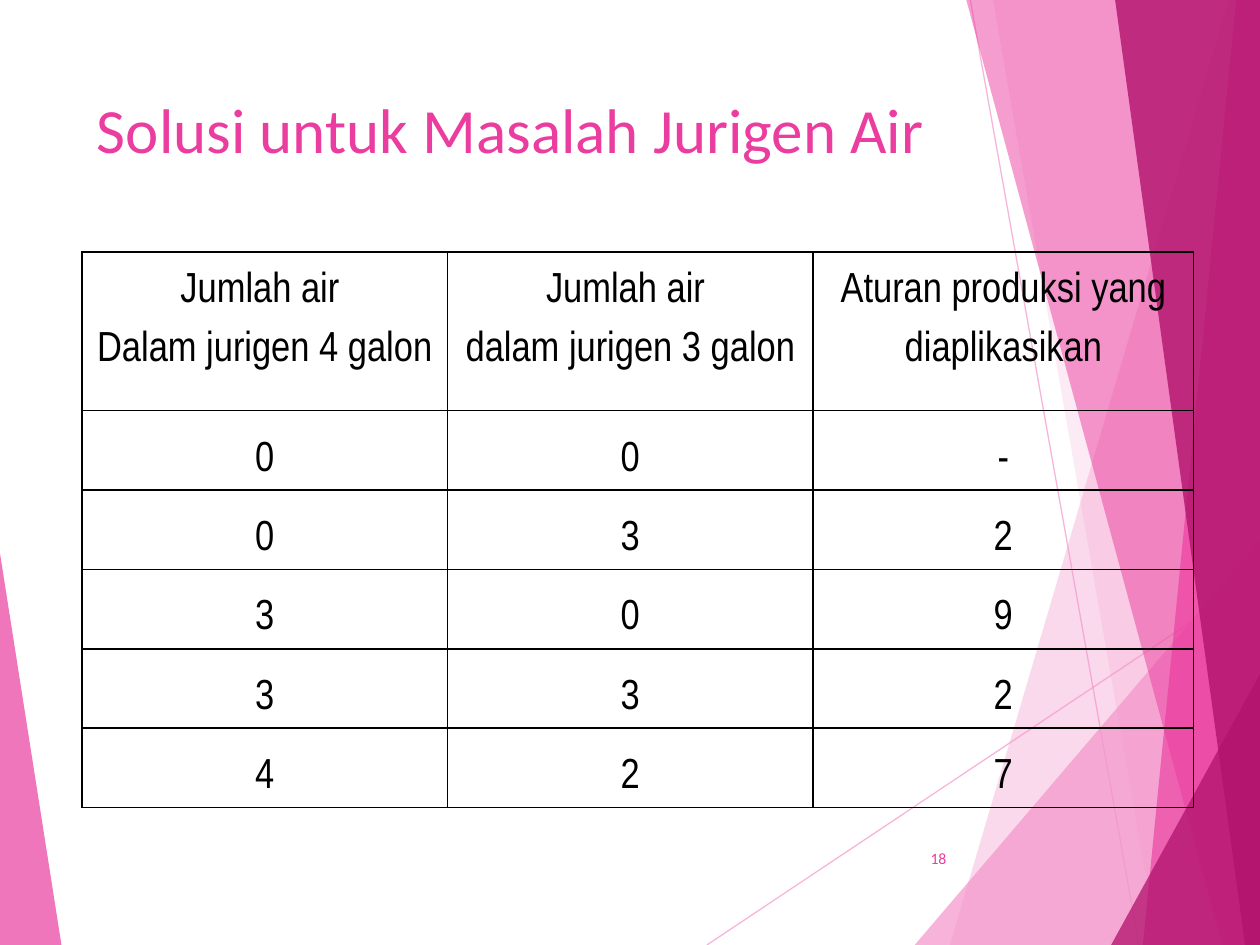
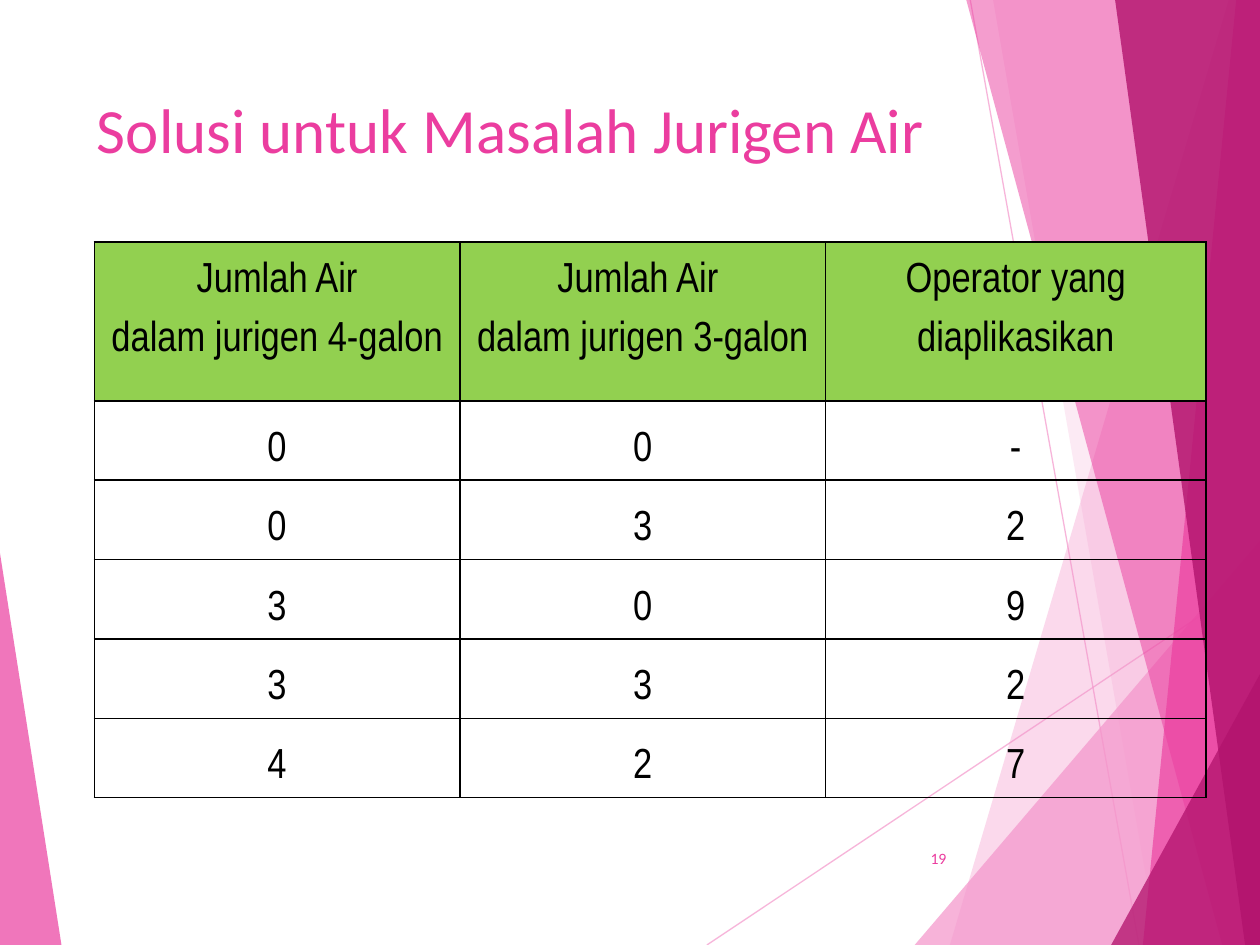
from dataclasses import dataclass

from lxml.etree import SubElement as Sub
from pptx import Presentation as Deck
from pptx.dml.color import RGBColor as Rgb
from pptx.enum.shapes import MSO_CONNECTOR as Link
from pptx.enum.text import MSO_ANCHOR as Anchor, PP_ALIGN as Align
from pptx.oxml.ns import qn
from pptx.util import Cm, Pt


@dataclass(frozen=True)
class Theme:
    light: str = "F496CB"
    pink: str = "EB3D9F"
    deep: str = "B2136D"
    ink: str = "000000"
    green: str = "92D050"
    sans: str = "Calibri"
    narrow: str = "Arial Narrow"
    head: int = 36
    body: int = 24
    foot: int = 9


LOOK = Theme()
WIDE, HIGH = 25.4, 19.05
RAYS = [
    ((14.25, HIGH), (WIDE, 11.61)),
    ((19.56, 0), (22.96, HIGH)),
]
RIGHT = [(WIDE, HIGH), (WIDE, 0)]
BANDS = [
    (LOOK.light, 36, [(24.77, 0), (19.15, HIGH), *RIGHT]),
    (LOOK.light, 20, [(20.02, 0), (23.34, HIGH), *RIGHT]),
    (LOOK.light, 72, [(18.44, HIGH), (WIDE, 10.9), (WIDE, HIGH)]),
    (LOOK.pink, 50, [(19.48, 0), (24.64, HIGH), *RIGHT]),
    (LOOK.pink, 66, [(24.92, 0), (23.04, HIGH), *RIGHT]),
    (LOOK.deep, 80, [(22.48, 0), (25.1, HIGH), *RIGHT]),
    (LOOK.deep, 76, [(22.4, HIGH), (WIDE, 13.59), (WIDE, HIGH)]),
    (LOOK.pink, 70, [(0, 11.15), (1.24, HIGH), (0, HIGH)]),
]
COLS = [7.37, 7.37, 7.67]
ROWS = [3.2] + [1.6] * 5
STEPS = ["00-", "032", "309", "332", "427"]
TITLE = "Solusi untuk Masalah Jurigen Air"


def color(text):
    return Rgb.from_string(text)


def style(para, face, size, tone):
    para.font.name = face
    para.font.size = Pt(size)
    para.font.color.rgb = color(tone)


def fade(shape, share):
    for tone in shape.element.spPr.iter(qn("a:srgbClr")):
        Sub(tone, qn("a:alpha"), val=str(share * 1000))


def add_ray(slide, start, end):
    ray = slide.shapes.add_connector(
        Link.STRAIGHT, *[Cm(num) for num in (*start, *end)])
    ray.line.color.rgb = color(LOOK.light)
    ray.line.width = Pt(0.75)
    Sub(ray.element.spPr, qn("a:effectLst"))
    fade(ray, 70)
    return ray


def add_band(slide, tone, share, points):
    first, *rest = [(Cm(x), Cm(y)) for x, y in points]
    pen = slide.shapes.build_freeform(*first)
    pen.add_line_segments(rest)
    band = pen.convert_to_shape()
    band.shadow.inherit = False
    band.fill.solid()
    band.fill.fore_color.rgb = color(tone)
    band.line.fill.background()
    fade(band, share)
    return band


def add_decor(slide):
    parts = [add_ray(slide, *ray) for ray in RAYS]
    parts += [add_band(slide, *band) for band in BANDS]
    tree = slide.slide_layout.shapes.element
    for spot, part in enumerate(parts):
        next(part.element.iter(qn("p:cNvPr"))).set("id", str(100 + spot))
        tree.insert(2 + spot, part.element)


def set_title(slide, width, height):
    title = slide.shapes.title
    title.left, title.top = Cm(1.7), Cm(1.7)
    title.width, title.height = Cm(width), Cm(height)
    frame = title.text_frame
    frame.text = TITLE
    frame.vertical_anchor = Anchor.TOP
    para = frame.paragraphs[0]
    para.alignment = Align.LEFT
    style(para, LOOK.sans, LOOK.head, LOOK.pink)


def add_edges(cell):
    props = cell._tc.get_or_add_tcPr()
    for side in ("lnL", "lnR", "lnT", "lnB"):
        edge = Sub(props, qn(f"a:{side}"), w=str(Pt(1)))
        fill = Sub(edge, qn("a:solidFill"))
        Sub(fill, qn("a:srgbClr"), val=LOOK.ink)


def set_cell(cell, text, anchor, fill):
    add_edges(cell)
    cell.margin_left = cell.margin_right = Cm(0.18)
    cell.margin_top = cell.margin_bottom = 0
    cell.vertical_anchor = anchor
    if fill:
        cell.fill.solid()
        cell.fill.fore_color.rgb = color(fill)
    else:
        cell.fill.background()
    cell.text = text
    for para in cell.text_frame.paragraphs:
        para.alignment = Align.CENTER
        para.line_spacing = 1.5
        style(para, LOOK.narrow, LOOK.body, LOOK.ink)


def add_grid(slide, left, top, heads, fill):
    table = slide.shapes.add_table(
        len(ROWS), len(COLS), Cm(left), Cm(top),
        Cm(sum(COLS)), Cm(sum(ROWS))).table
    table.first_row = table.horz_banding = False
    for col, width in zip(table.columns, COLS):
        col.width = Cm(width)
    for row, height in zip(table.rows, ROWS):
        row.height = Cm(height)
    for y, texts in enumerate([heads, *STEPS]):
        for x, text in enumerate(texts):
            anchor = Anchor.MIDDLE if y else Anchor.TOP
            set_cell(table.cell(y, x), text, anchor, None if y else fill)


def add_page(slide, num):
    box = slide.shapes.add_textbox(Cm(17.91), Cm(16.79), Cm(1.42), Cm(1.02))
    frame = box.text_frame
    frame.word_wrap = True
    frame.vertical_anchor = Anchor.MIDDLE
    frame.text = str(num)
    para = frame.paragraphs[0]
    para.alignment = Align.RIGHT
    style(para, LOOK.sans, LOOK.foot, LOOK.pink)


def main():
    deck = Deck()
    deck.slide_width, deck.slide_height = Cm(WIDE), Cm(HIGH)
    layout = deck.slide_layouts[5]

    rules = deck.slides.add_slide(layout)
    add_decor(rules)
    set_title(rules, 19.48, 2.74)
    add_grid(rules, 1.65, 5.08, [
        "Jumlah air \nDalam jurigen 4 galon",
        "Jumlah air \ndalam jurigen 3 galon",
        "Aturan produksi yang diaplikasikan"], None)
    add_page(rules, 18)

    moves = deck.slides.add_slide(layout)
    set_title(moves, 19.25, 2.34)
    add_grid(moves, 1.9, 4.88, [
        "Jumlah Air\ndalam jurigen 4-galon",
        "Jumlah Air \ndalam jurigen 3-galon",
        "Operator yang diaplikasikan"], LOOK.green)
    add_page(moves, 19)

    deck.save("out.pptx")


if __name__ == "__main__":
    main()
